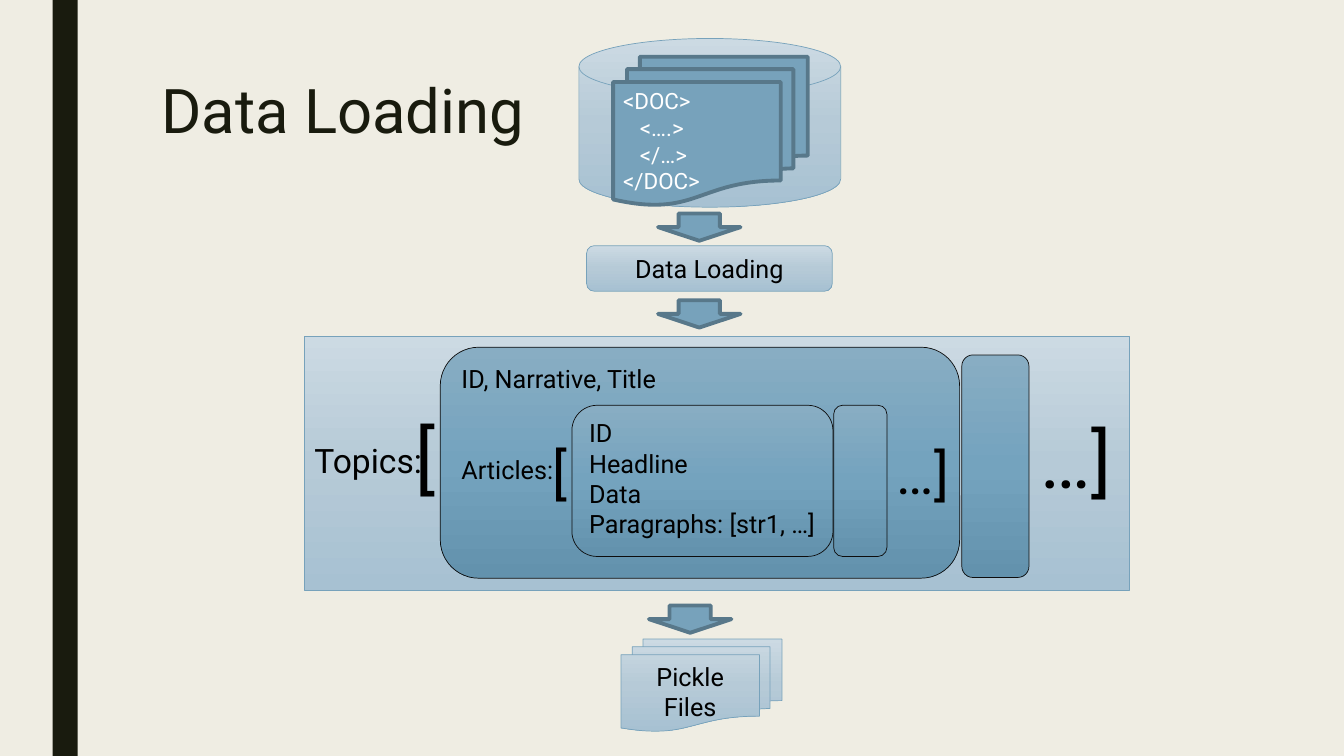
import copy
import pptx
import pptx.util
import pptx.dml.color
import pptx.enum.shapes
import pptx.enum.text
import pptx.oxml
import pptx.oxml.ns

Pt = pptx.util.Pt
RGBColor = pptx.dml.color.RGBColor
KIND = pptx.enum.shapes.MSO_SHAPE
ALIGN = pptx.enum.text.PP_ALIGN
ANCHOR = pptx.enum.text.MSO_ANCHOR
qn = pptx.oxml.ns.qn

FONT = "Roboto"
CREAM = RGBColor(0xEF, 0xED, 0xE3)
INK = RGBColor(0x19, 0x1B, 0x0E)
BLACK = RGBColor(0, 0, 0)
WHITE = RGBColor(0xFF, 0xFF, 0xFF)
OUTLINE = RGBColor(0x0D, 0x0D, 0x0D)
BLUE = RGBColor(0x77, 0xA2, 0xBB)
DARK_BLUE = RGBColor(0x58, 0x78, 0x8A)
PALE = [RGBColor(0xCC, 0xDA, 0xE3), RGBColor(0xB6, 0xCA, 0xD7), RGBColor(0xA7, 0xC1, 0xD2)]
DEEP = [RGBColor(0x88, 0xAD, 0xC3), RGBColor(0x74, 0xA3, 0xBE), RGBColor(0x63, 0x92, 0xAD)]

PALE_STYLE = (PALE, BLUE, 0.5)
DEEP_STYLE = (DEEP, OUTLINE, 0.5)
SOLID_STYLE = ([BLUE], DARK_BLUE, 2.75)
BAR_STYLE = ([INK], None, 0)


def inside(box, left, top, width, height):
    return box[0] + left, box[1] + top, width, height


def paint(shape, colours):
    fill = shape.fill
    if len(colours) == 1:
        fill.solid()
        fill.fore_color.rgb = colours[0]
        return
    fill.gradient()
    fill.gradient_angle = 270
    stops = shape._element.spPr.find(qn("a:gradFill")).find(qn("a:gsLst"))
    stops.insert(1, copy.deepcopy(stops[0]))
    for index, (stop, colour) in enumerate(zip(fill.gradient_stops, colours)):
        stop.position = index / 2
        stop.color.rgb = colour


def add_block(page, kind, box, style):
    colours, line_colour, line_width = style
    shape = page.shapes.add_shape(kind, *map(Pt, box))
    shape.shadow.inherit = False
    paint(shape, colours)
    if line_colour is None:
        shape.line.fill.background()
    else:
        shape.line.color.rgb = line_colour
        shape.line.width = Pt(line_width)
    return shape


def write(shape, lines, size, colour=BLACK, align=ALIGN.LEFT, anchor=ANCHOR.TOP):
    frame = shape.text_frame
    frame.word_wrap = True
    frame.vertical_anchor = anchor
    for index, line in enumerate(lines):
        para = frame.add_paragraph() if index else frame.paragraphs[0]
        para.alignment = align
        span = para.add_run()
        span.text = line
        span.font.name = FONT
        span.font.size = Pt(size)
        span.font.color.rgb = colour
    return frame.paragraphs


def add_label(page, box, words, size):
    write(page.shapes.add_textbox(*map(Pt, box)), [words], size)


def add_title(page, box):
    title = page.shapes.title
    title.left, title.top, title.width, title.height = map(Pt, box)
    write(title, ["Data Loading"], 44, INK)[0].line_spacing = 0.89


def add_arrow(page, left, top):
    add_block(page, KIND.DOWN_ARROW, (left, top, 59, 19.5), SOLID_STYLE)


def add_source(page, box):
    add_block(page, KIND.FLOWCHART_MAGNETIC_DISK, box, PALE_STYLE)
    documents = add_block(page, KIND.FLOWCHART_MULTIDOCUMENT,
                          inside(box, 24.5, 13, 139, 106), SOLID_STYLE)
    lines = ["<DOC>", "<\u2026.>", "</\u2026>", "</DOC>"]
    paras = write(documents, lines, 16, WHITE, anchor=ANCHOR.MIDDLE)
    for para in paras[1:3]:
        para._p.get_or_add_pPr().set("marL", str(Pt(12)))


def add_step(page, kind, box, words):
    shape = add_block(page, kind, box, PALE_STYLE)
    write(shape, [words], 18, align=ALIGN.CENTER, anchor=ANCHOR.MIDDLE)


def add_article_list(page, box):
    article = add_block(page, KIND.ROUNDED_RECTANGLE,
                        inside(box, 21, 0, 186.5, 108), DEEP_STYLE)
    write(article, ["ID", "Headline", "Data", "Paragraphs: [str1, \u2026]"], 18)
    add_block(page, KIND.ROUNDED_RECTANGLE, inside(box, 208, 0, 38, 108), DEEP_STYLE)
    add_label(page, inside(box, 0, 19.5, 27.5, 55.5), "[", 40)
    add_label(page, inside(box, 246, 20, 73.5, 55.5), "\u2026]", 40)


def add_topic_list(page, box):
    add_block(page, KIND.RECTANGLE, box, PALE_STYLE)
    add_label(page, inside(box, 0, 70.5, 102, 36), "Topics:", 24)
    topic = add_block(page, KIND.ROUNDED_RECTANGLE,
                      inside(box, 97, 8, 371, 165), DEEP_STYLE)
    paras = write(topic, ["ID, Narrative, Title", "Articles:"], 18)
    paras[1].space_before = Pt(43)
    add_article_list(page, inside(box, 170, 49.5, 319.5, 108))
    add_block(page, KIND.ROUNDED_RECTANGLE, inside(box, 469.5, 13.5, 48, 159), DEEP_STYLE)
    add_label(page, inside(box, 72, 49.5, 27.5, 73), "[", 54)
    add_label(page, inside(box, 519, 51.5, 77, 73), "\u2026]", 54)


deck = pptx.Presentation()
deck.slide_width, deck.slide_height = Pt(960), Pt(540)
page = deck.slides.add_slide(deck.slide_layouts[5])
page.background.fill.solid()
page.background.fill.fore_color.rgb = CREAM

add_block(page, KIND.RECTANGLE, (37.5, 0, 18, 540), BAR_STYLE)
add_title(page, (108, 54, 756, 67))
add_source(page, (413.5, 27.5, 187, 120.5))
add_step(page, KIND.ROUNDED_RECTANGLE, (419, 175.5, 175.5, 32.5), "Data Loading")
add_topic_list(page, (217.5, 240, 589.5, 181.5))
add_step(page, KIND.FLOWCHART_MULTIDOCUMENT, (443.5, 456.5, 115, 66), "Pickle Files")
for left, top in [(470, 152.5), (470, 214.5), (463.5, 432.5)]:
    add_arrow(page, left, top)

deck.save("out.pptx")
